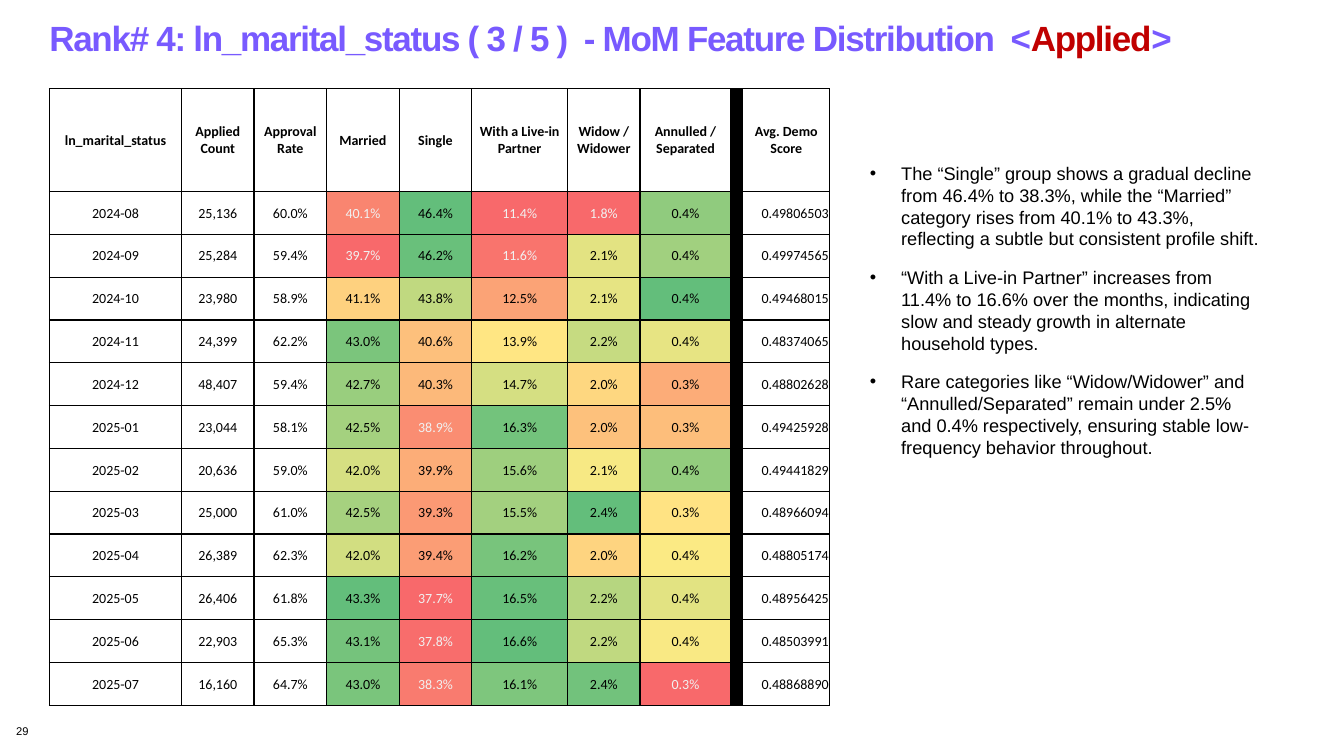
from dataclasses import dataclass

from lxml import etree
from pptx import Presentation
from pptx.dml.color import RGBColor
from pptx.enum.text import MSO_ANCHOR, MSO_AUTO_SIZE, PP_ALIGN
from pptx.oxml.ns import qn
from pptx.util import Inches, Pt

CENTER, RIGHT = PP_ALIGN.CENTER, PP_ALIGN.RIGHT
MIDDLE = MSO_ANCHOR.MIDDLE
GROW, FIXED = MSO_AUTO_SIZE.SHAPE_TO_FIT_TEXT, MSO_AUTO_SIZE.NONE


@dataclass(frozen=True)
class Theme:
    """Colours, fonts and type sizes of the slide."""
    accent: str = "785AFF"
    alert: str = "C00000"
    ink: str = "000000"
    pale: str = "F1F1F1"
    text_font: str = "Arial"
    table_font: str = "Calibri"
    title_size: int = 25
    body_size: int = 13
    table_size: int = 10
    number_size: int = 8


class SlideBuilder:
    """Adds styled elements to the current slide."""

    def __init__(self, slide, theme):
        self.slide = slide
        self.theme = theme

    def add_span(self, para, text, color, size, **format_values):
        span = para.add_run()
        span.text = text
        span.font.color.rgb = RGBColor.from_string(color)
        values = {"name": self.theme.text_font, "size": Pt(size), **format_values}
        for name, value in values.items():
            setattr(span.font, name, value)
        return span

    def add_box(self, left, top, width, height, inset=0, auto_size=FIXED):
        box = self.slide.shapes.add_textbox(*map(Inches, (left, top, width, height)))
        frame = box.text_frame
        values = {"word_wrap": True, "auto_size": auto_size}
        if inset is not None:
            for side in ("left", "top", "right", "bottom"):
                values[f"margin_{side}"] = Inches(inset)
        for name, value in values.items():
            setattr(frame, name, value)
        return frame

    def add_title(self, spans):
        para = self.add_box(0.49, 0.12, 12.84, 0.51).paragraphs[0]
        para.line_spacing = 1.1
        for text, color in spans:
            span = self.add_span(para, text, color, self.theme.title_size, bold=True)
            span.font._element.set("spc", "-90")

    def add_page_number(self, number):
        para = self.add_box(0.16, 7.19, 2.92, 0.25).paragraphs[0]
        self.add_span(para, number, self.theme.ink, self.theme.number_size)

    def add_bullets(self, texts):
        frame = self.add_box(8.53, 1.56, 4.08, 2.84, inset=None, auto_size=GROW)
        for index, text in enumerate(texts):
            para = frame.add_paragraph() if index else frame.paragraphs[0]
            para.space_after = Pt(12)
            properties = para._p.get_or_add_pPr()
            properties.set("marL", str(Inches(0.31)))
            properties.set("indent", str(-Inches(0.31)))
            etree.SubElement(properties, qn("a:buFont")).set("typeface", self.theme.text_font)
            etree.SubElement(properties, qn("a:buChar")).set("char", "•")
            self.add_span(para, text, self.theme.ink, self.theme.body_size)

    def style_cell(self, cell, fill):
        properties = cell._tc.get_or_add_tcPr()
        for side in ("lnL", "lnR", "lnT", "lnB"):
            line = etree.SubElement(properties, qn(f"a:{side}"), w=str(Pt(1)))
            paint = etree.SubElement(line, qn("a:solidFill"))
            etree.SubElement(paint, qn("a:srgbClr"), val=self.theme.ink)
        if fill:
            cell.fill.solid()
            cell.fill.fore_color.rgb = RGBColor.from_string(fill)
        else:
            cell.fill.background()
        values = {
            "vertical_anchor": MIDDLE,
            "margin_left": Inches(0.01),
            "margin_right": Inches(0.01),
            "margin_top": Inches(0.01),
            "margin_bottom": 0,
        }
        for name, value in values.items():
            setattr(cell, name, value)

    def fill_cell(self, cell, text, fill=None, bold=False, align=CENTER):
        self.style_cell(cell, fill)
        if text:
            para = cell.text_frame.paragraphs[0]
            para.alignment = align
            is_red = fill and int(fill[2:4], 16) < 0x90
            color = self.theme.pale if is_red else self.theme.ink
            self.add_span(para, text, color, self.theme.table_size,
                          name=self.theme.table_font, bold=bold)

    def add_heat_table(self, headers, months, widths):
        frame = self.slide.shapes.add_table(
            len(months) + 1, len(headers), Inches(0.49), Inches(0.88),
            Inches(sum(widths)), Inches(1.02 + 0.425 * len(months)))
        table = frame.table
        table.first_row = table.horz_banding = False
        for column, width in zip(table.columns, widths):
            column.width = Inches(width)
        for index, row in enumerate(table.rows):
            row.height = Inches(0.425 if index else 1.02)
        for index, header in enumerate(headers):
            fill = None if header else self.theme.ink
            self.fill_cell(table.cell(0, index), header, fill, bold=True)
        for row, (counts, shares, fills, score) in enumerate(months, 1):
            texts = counts.split() + shares.split() + ["", score]
            colors = [None] * 3 + fills.split() + [self.theme.ink, None]
            for index, (text, fill) in enumerate(zip(texts, colors)):
                align = RIGHT if index == len(texts) - 1 else CENTER
                self.fill_cell(table.cell(row, index), text, fill, align=align)


HEADERS = ["ln_marital_status", "Applied Count", "Approval Rate", "Married", "Single",
           "With a Live-in Partner", "Widow / Widower", "Annulled / Separated", "",
           "Avg. Demo Score"]
WIDTHS = [1.31, 0.72, 0.72, 0.72, 0.72, 0.95, 0.72, 0.9, 0.12, 0.86]
MONTHS = [
    ("2024-08 25,136 60.0%", "40.1% 46.4% 11.4% 1.8% 0.4%",
     "F98570 63BE7B F8696B F8696B 90CB7E", "0.49806503"),
    ("2024-09 25,284 59.4%", "39.7% 46.2% 11.6% 2.1% 0.4%",
     "F8696B 69C07B F9746D E3E382 A1D07F", "0.49974565"),
    ("2024-10 23,980 58.9%", "41.1% 43.8% 12.5% 2.1% 0.4%",
     "FED17F C0D980 FBA376 E6E483 63BE7B", "0.49468015"),
    ("2024-11 24,399 62.2%", "43.0% 40.6% 13.9% 2.2% 0.4%",
     "7BC57C FDC07C FFE683 C6DB81 E7E483", "0.48374065"),
    ("2024-12 48,407 59.4%", "42.7% 40.3% 14.7% 2.0% 0.3%",
     "99CE7E FCB97A D5DF82 FED780 FCAC78", "0.48802628"),
    ("2025-01 23,044 58.1%", "42.5% 38.9% 16.3% 2.0% 0.3%",
     "A4D17F FA8D72 73C37C FDC17C FDBE7B", "0.49425928"),
    ("2025-02 20,636 59.0%", "42.0% 39.9% 15.6% 2.1% 0.4%",
     "D6DF82 FCAD78 9ECF7E F7E984 93CC7E", "0.49441829"),
    ("2025-03 25,000 61.0%", "42.5% 39.3% 15.5% 2.4% 0.3%",
     "A6D17F FB9974 A3D07F 63BE7B FFE383", "0.48966094"),
    ("2025-04 26,389 62.3%", "42.0% 39.4% 16.2% 2.0% 0.4%",
     "D2DE81 FB9D75 78C47C FED480 FBEA84", "0.48805174"),
    ("2025-05 26,406 61.8%", "43.3% 37.7% 16.5% 2.2% 0.4%",
     "63BE7B F8696B 68BF7B B6D680 E2E382", "0.48956425"),
    ("2025-06 22,903 65.3%", "43.1% 37.8% 16.6% 2.2% 0.4%",
     "75C37C F86D6C 63BE7B C0D980 F9E984", "0.48503991"),
    ("2025-07 16,160 64.7%", "43.0% 38.3% 16.1% 2.4% 0.3%",
     "7AC57C F97B6F 7EC67D 72C27C F8696B", "0.48868890"),
]
FINDINGS = [
    "The “Single” group shows a gradual decline from 46.4% to 38.3%, while the “Married” "
    "category rises from 40.1% to 43.3%, reflecting a subtle but consistent profile shift.",
    "“With a Live-in Partner” increases from 11.4% to 16.6% over the months, indicating "
    "slow and steady growth in alternate household types.",
    "Rare categories like “Widow/Widower” and “Annulled/Separated” remain under 2.5% and "
    "0.4% respectively, ensuring stable low-frequency behavior throughout.",
]


def main():
    deck = Presentation()
    deck.slide_width, deck.slide_height = Inches(13.33), Inches(7.5)
    theme = Theme()
    page = SlideBuilder(deck.slides.add_slide(deck.slide_layouts[6]), theme)
    page.add_title([
        ("Rank# 4: ln_marital_status ( 3 / 5 )  - MoM Feature Distribution  <", theme.accent),
        ("Applied", theme.alert),
        (">", theme.accent),
    ])
    page.add_page_number("29")
    page.add_bullets(FINDINGS)
    page.add_heat_table(HEADERS, MONTHS, WIDTHS)
    deck.save("out.pptx")


if __name__ == "__main__":
    main()
